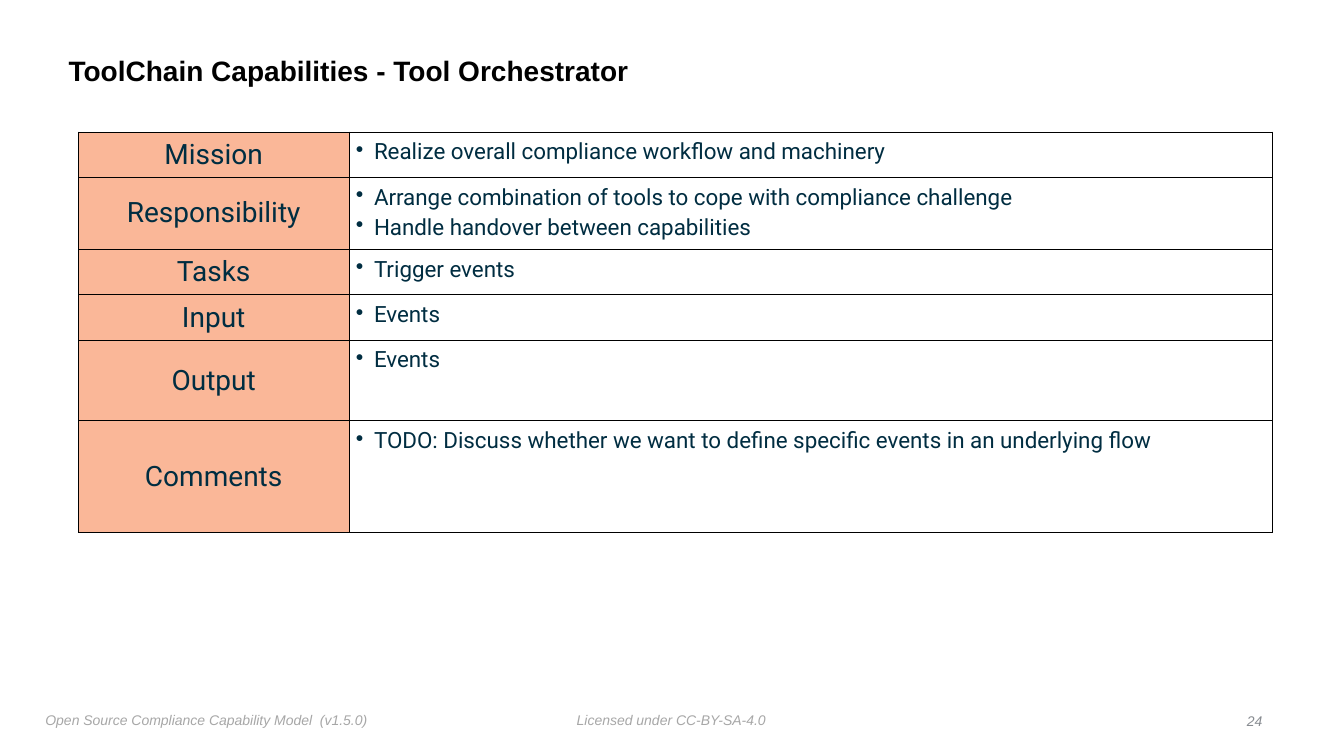
import dataclasses

import lxml.etree
import pptx
import pptx.dml.color
import pptx.enum.text
import pptx.oxml.ns
import pptx.util

Inches, Pt = pptx.util.Inches, pptx.util.Pt
ALIGN = pptx.enum.text.PP_ALIGN
ANCHOR = pptx.enum.text.MSO_ANCHOR


@dataclasses.dataclass(frozen=True)
class Theme:
    head: str = "Arial"
    body: str = "Roboto"
    black: str = "000000"
    ink: str = "002D41"
    peach: str = "FAB798"
    grey: str = "A7A7A7"
    slate: str = "888C91"
    large: int = 20
    mid: int = 16
    small: int = 10


THEME = Theme()
WIDE, HIGH = 13.33, 7.5
SPLIT = (2.68, 9.16)
ROWS = [
    ("Mission", 0.45, ["Realize overall compliance workflow and machinery"]),
    ("Responsibility", 0.7, [
        "Arrange combination of tools to cope with compliance challenge",
        "Handle handover between capabilities"]),
    ("Tasks", 0.45, ["Trigger events"]),
    ("Input", 0.45, ["Events"]),
    ("Output", 0.8, ["Events"]),
    ("Comments", 1.11, [
        "TODO: Discuss whether we want to define specific events "
        "in an underlying flow"]),
]


def color(code):
    return pptx.dml.color.RGBColor.from_string(code)


def style(para, size, face, code, bold=False, italic=False):
    font = para.font
    font.size, font.name = Pt(size), face
    font.bold, font.italic = bold, italic
    font.color.rgb = color(code)


def inset(part, gap):
    part.margin_left = part.margin_right = Inches(gap)
    part.margin_top = part.margin_bottom = Inches(gap)


def add(parent, tag, **attrs):
    return lxml.etree.SubElement(parent, pptx.oxml.ns.qn(tag), **attrs)


def label(slide, box, text, align=ALIGN.LEFT, anchor=ANCHOR.TOP, wrap=False):
    frame = slide.shapes.add_textbox(*map(Inches, box)).text_frame
    frame.word_wrap = wrap
    frame.vertical_anchor = anchor
    inset(frame, 0.05)
    para = frame.paragraphs[0]
    para.text, para.alignment = text, align
    return para


def title(slide, box, text):
    para = label(slide, box, text, anchor=ANCHOR.MIDDLE, wrap=True)
    para.line_spacing = 0.9
    style(para, THEME.large, THEME.head, THEME.black, bold=True)


def border(cell):
    props = cell._tc.get_or_add_tcPr()
    for side in "LRTB":
        line = add(props, f"a:ln{side}", w=str(Pt(0.5)))
        add(add(line, "a:solidFill"), "a:srgbClr", val=THEME.black)


def name_cell(cell, text):
    border(cell)
    inset(cell, 0)
    cell.fill.solid()
    cell.fill.fore_color.rgb = color(THEME.peach)
    cell.vertical_anchor = ANCHOR.MIDDLE
    para = cell.text_frame.paragraphs[0]
    para.text, para.alignment = text, ALIGN.CENTER
    style(para, THEME.large, THEME.body, THEME.ink)


def list_cell(cell, items):
    border(cell)
    inset(cell, 0.07)
    cell.fill.background()
    frame = cell.text_frame
    frame.text = "\n".join(items)
    for i, para in enumerate(frame.paragraphs):
        props = para._p.get_or_add_pPr()
        props.set("marL", str(Inches(0.18)))
        props.set("indent", str(Inches(-0.18)))
        add(props, "a:buChar", char="•")
        para.space_before = Pt(3 if i else 0)
        style(para, THEME.mid, THEME.body, THEME.ink)


def grid(slide, box):
    table = slide.shapes.add_table(
        len(ROWS), len(SPLIT), *map(Inches, box)).table
    table.first_row = table.horz_banding = False
    for col, part in zip(table.columns, SPLIT):
        col.width = Inches(box[2] * part / sum(SPLIT))
    for i, (name, height, items) in enumerate(ROWS):
        table.rows[i].height = Inches(height)
        name_cell(table.cell(i, 0), name)
        list_cell(table.cell(i, 1), items)


def footer(slide, box):
    left, top, width, height = box
    notes = [
        (0, 0, 3.32, "Open Source Compliance Capability Model  (v1.5.0)",
         ALIGN.LEFT, ANCHOR.TOP, THEME.grey),
        (5.27, 0, 1.99, "Licensed under CC-BY-SA-4.0",
         ALIGN.LEFT, ANCHOR.TOP, THEME.grey),
        (width - 0.27, 0.02, 0.27, "24",
         ALIGN.RIGHT, ANCHOR.MIDDLE, THEME.slate),
    ]
    for x, y, wide, text, align, anchor, code in notes:
        para = label(slide, (left + x, top + y, wide, height),
                     text, align, anchor)
        style(para, THEME.small, THEME.head, code, italic=True)


def main():
    deck = pptx.Presentation()
    deck.slide_width, deck.slide_height = Inches(WIDE), Inches(HIGH)
    slide = deck.slides.add_slide(deck.slide_layouts[6])
    # Heading
    title(slide, (0.63, 0.39, 10.75, 0.65),
          "ToolChain Capabilities - Tool Orchestrator")
    # Capability table
    grid(slide, (0.78, 1.31, sum(SPLIT), sum(row[1] for row in ROWS)))
    # Footer line
    footer(slide, (0.4, 7.01, 12.17, 0.25))
    deck.save("out.pptx")


if __name__ == "__main__":
    main()
